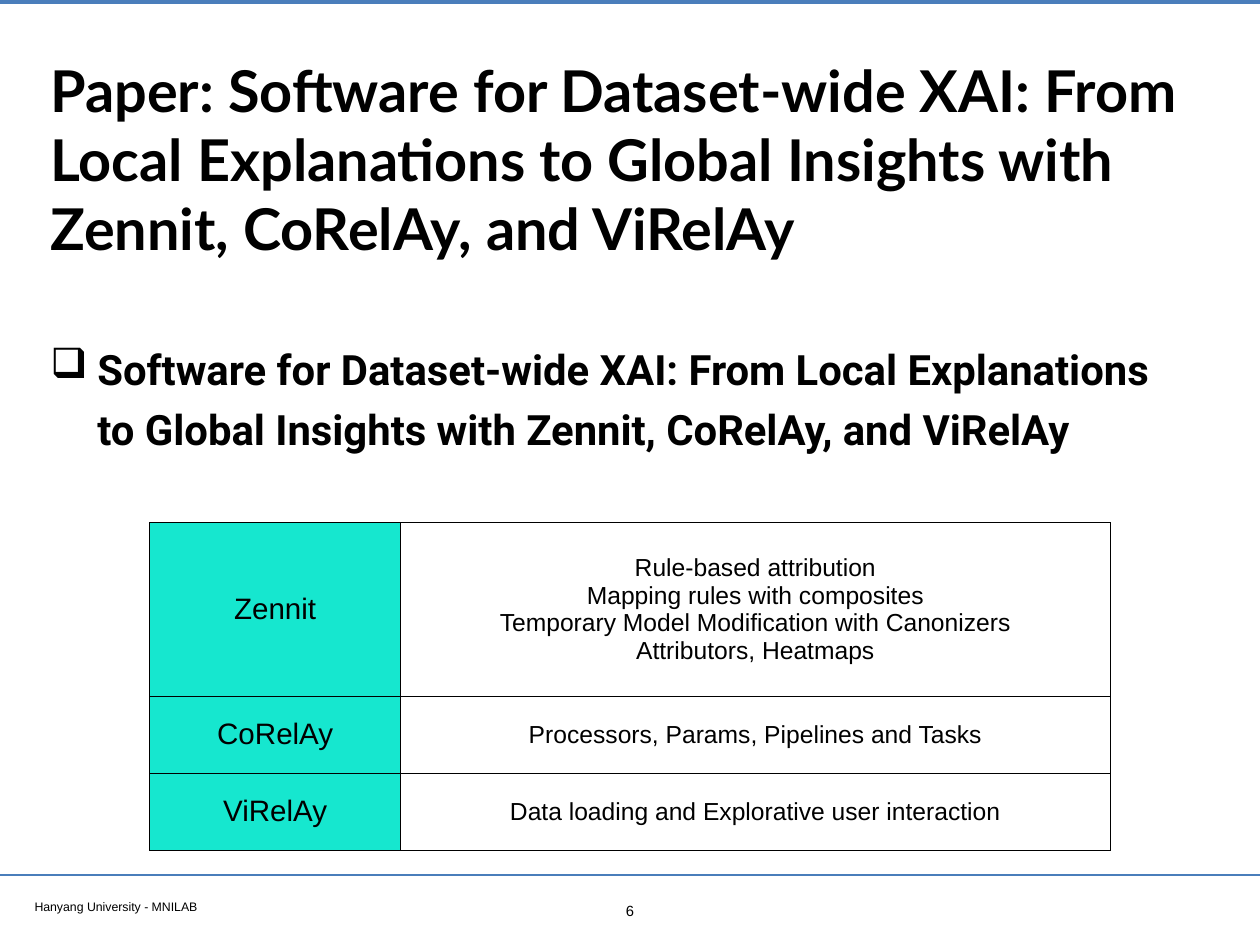
from dataclasses import dataclass

from lxml.etree import SubElement
from pptx import Presentation
from pptx.dml.color import RGBColor
from pptx.enum.shapes import MSO_CONNECTOR
from pptx.enum.text import MSO_ANCHOR, PP_ALIGN
from pptx.oxml import parse_xml
from pptx.oxml.ns import nsdecls, qn
from pptx.util import Inches, Pt


@dataclass(frozen=True)
class Theme:
    ink: str = "000000"
    paper: str = "FFFFFF"
    rule: str = "4A7EBB"
    label_fill: str = "16E7CF"
    title_font: str = "Lato"
    body_font: str = "Roboto"
    base_font: str = "Arial"
    title: float = 46.8
    body: float = 34
    label: float = 24
    detail: float = 20
    number: float = 12
    footer: float = 10


THEME = Theme()
WIDTH, HEIGHT = 14.22, 10.67

PAPER_TITLE = ("Software for Dataset-wide XAI: From Local Explanations "
               "to Global Insights with Zennit, CoRelAy, and ViRelAy")
TOOLS = [
    ("Zennit", ["Rule-based attribution",
                "Mapping rules with composites",
                "Temporary Model Modification with Canonizers",
                "Attributors, Heatmaps"]),
    ("CoRelAy", ["Processors, Params, Pipelines and Tasks"]),
    ("ViRelAy", ["Data loading and Explorative user interaction"]),
]


def add_run(p, text, size, font=THEME.base_font, bold=False):
    r = p.add_run()
    r.text = text
    r.font.size = Pt(size)
    r.font.name = font
    r.font.bold = bold
    r.font.color.rgb = RGBColor.from_string(THEME.ink)


def add_text(s, box, text, size, font=THEME.base_font, bold=False,
             align=PP_ALIGN.LEFT, anchor=MSO_ANCHOR.TOP):
    tf = s.shapes.add_textbox(*map(Inches, box)).text_frame
    tf.word_wrap = True
    tf.vertical_anchor = anchor
    tf.margin_left = tf.margin_right = Inches(0.06)
    tf.margin_top = tf.margin_bottom = Inches(0.06)
    p = tf.paragraphs[0]
    p.alignment = align
    add_run(p, text, size, font, bold)
    return p


def add_rule(s, y, weight):
    line = s.shapes.add_connector(MSO_CONNECTOR.STRAIGHT, 0, Inches(y),
                                  Inches(WIDTH), Inches(y))
    line.line.color.rgb = RGBColor.from_string(THEME.rule)
    line.line.width = Pt(weight)
    SubElement(line._element.spPr, qn("a:effectLst"))


def add_frame(s, footer_top):
    # Rules at the top and above the footer
    add_rule(s, 0.02, 3.2)
    add_rule(s, footer_top, 2)

    # Footer text and slide number
    add_text(s, (0.33, footer_top + 0.21, 5.46, 0.26),
             "Hanyang University - MNILAB", THEME.footer)
    number_width = 0.39
    add_text(s, ((WIDTH - number_width) / 2, footer_top + 0.24, number_width, 0.31),
             "6", THEME.number, align=PP_ALIGN.CENTER)


def add_title(s, box):
    add_text(s, box, "Paper: " + PAPER_TITLE, THEME.title, THEME.title_font,
             bold=True, anchor=MSO_ANCHOR.MIDDLE)


def add_bullet(s, box):
    p = add_text(s, box, PAPER_TITLE, THEME.body, THEME.body_font, bold=True)
    p.line_spacing = 1.2
    pPr = p._p.get_or_add_pPr()
    indent = Inches(0.53)
    pPr.set("marL", str(indent))
    pPr.set("indent", str(-indent))
    SubElement(pPr, qn("a:buChar")).set("char", "❑")


def style_cell(cell, lines, size, fill):
    cell.fill.solid()
    cell.fill.fore_color.rgb = RGBColor.from_string(fill)
    cell.vertical_anchor = MSO_ANCHOR.MIDDLE
    tf = cell.text_frame
    for i, line in enumerate(lines):
        p = tf.add_paragraph() if i else tf.paragraphs[0]
        p.alignment = PP_ALIGN.CENTER
        add_run(p, line, size)

    # Borders come before the fill in the cell properties
    tcPr = cell._tc.get_or_add_tcPr()
    for i, side in enumerate(("lnL", "lnR", "lnT", "lnB")):
        tcPr.insert(i, parse_xml(
            f'<a:{side} {nsdecls("a")} w="{Pt(1)}"><a:solidFill>'
            f'<a:srgbClr val="{THEME.ink}"/></a:solidFill></a:{side}>'))


def add_tool_table(s, box):
    left, top, width, height = box
    label_width, short_row = 2.83, 0.87
    table = s.shapes.add_table(len(TOOLS), 2, *map(Inches, box)).table
    table.first_row = table.horz_banding = False
    table.columns[0].width = Inches(label_width)
    table.columns[1].width = Inches(width - label_width)

    # The first row takes the height left by the short rows
    first_row = height - short_row * (len(TOOLS) - 1)
    for i, (name, details) in enumerate(TOOLS):
        table.rows[i].height = Inches(short_row if i else first_row)
        style_cell(table.cell(i, 0), [name], THEME.label, THEME.label_fill)
        style_cell(table.cell(i, 1), details, THEME.detail, THEME.paper)


def main():
    prs = Presentation()
    prs.slide_width, prs.slide_height = Inches(WIDTH), Inches(HEIGHT)
    s = prs.slides.add_slide(prs.slide_layouts[6])
    add_frame(s, 9.88)
    add_title(s, (0.51, 0.28, 13.21, 3.02))
    add_bullet(s, (0.51, 3.71, 13.01, 2.54))
    add_tool_table(s, (1.69, 5.9, 10.84, 3.7))
    prs.save("out.pptx")


if __name__ == "__main__":
    main()
